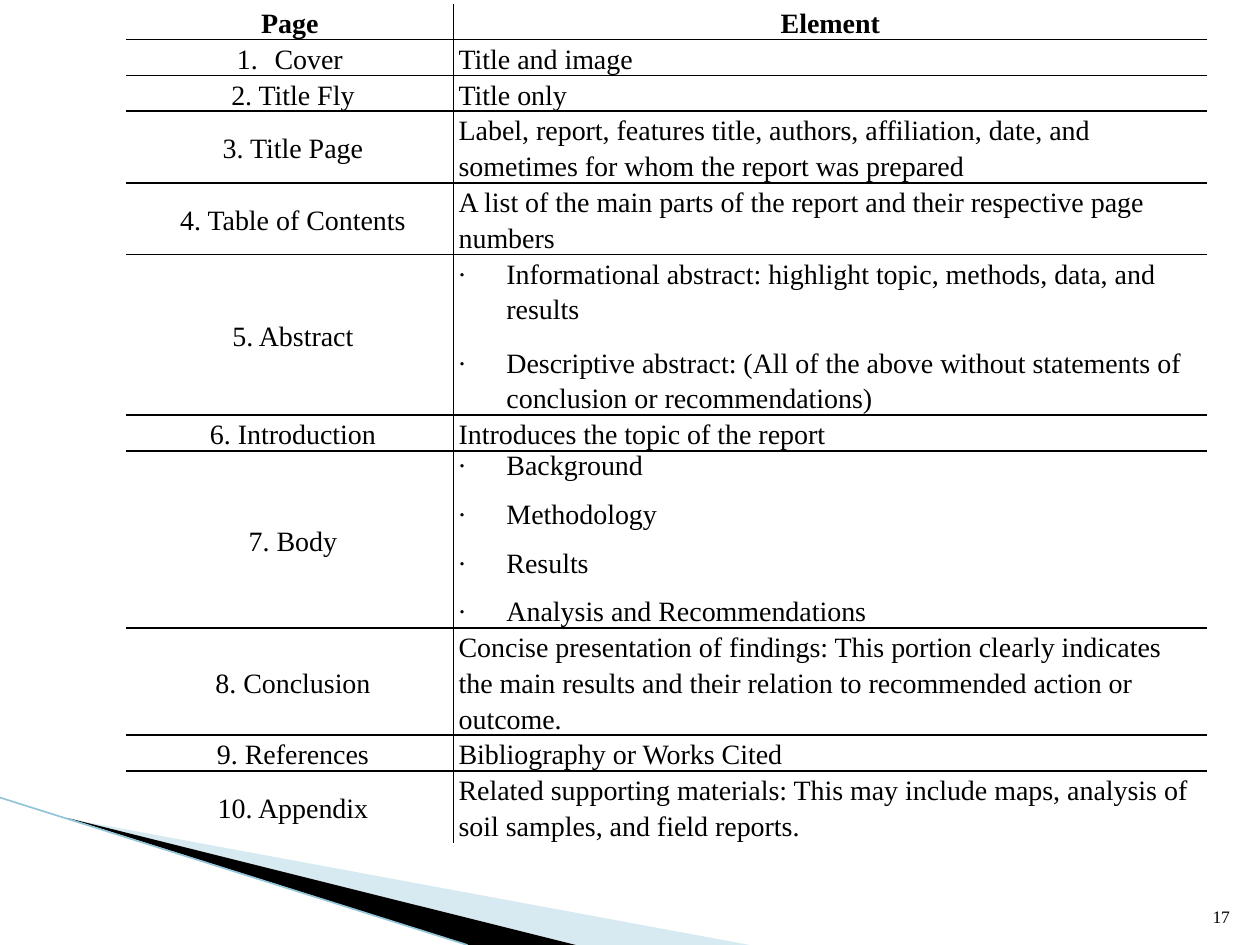
from dataclasses import dataclass

from lxml.etree import SubElement
from pptx import Presentation
from pptx.dml.color import RGBColor
from pptx.enum.text import MSO_ANCHOR, PP_ALIGN
from pptx.oxml import parse_xml
from pptx.oxml.ns import nsdecls, qn
from pptx.util import Inches, Pt


@dataclass(frozen=True)
class Theme:
    font: str = "Times New Roman"
    ink: str = "000000"
    wedge: str = "9CCADC"
    edge: str = "93C5D8"
    body_size: int = 16
    number_size: int = 10
    border_width: float = 1
    edge_width: float = 0.95


HEADER = ("Page", "Element")
# Page name, row height, element paragraphs, whether the paragraphs are bulleted
ROWS = [
    ("Cover", 0.12, ["Title and image"], False),
    ("2. Title Fly", 0.12, ["Title only"], False),
    ("3. Title Page", 0.47, ["Label, report, features title, authors, affiliation, date, and "
                             "sometimes for whom the report was prepared"], False),
    ("4. Table of Contents", 0.35, ["A list of the main parts of the report and their "
                                    "respective page numbers"], False),
    ("5. Abstract", 1.13, [
        "Informational abstract: highlight topic, methods, data, and results",
        "Descriptive abstract: (All of the above without statements of conclusion or "
        "recommendations)"], True),
    ("6. Introduction", 0.24, ["Introduces the topic of the report"], False),
    ("7. Body", 1.11, ["Background", "Methodology", "Results",
                       "Analysis and Recommendations"], True),
    ("8. Conclusion", 0.71, ["Concise presentation of findings: This portion clearly indicates "
                             "the main results and their relation to recommended action or "
                             "outcome."], False),
    ("9. References", 0.12, ["Bibliography or Works Cited"], False),
    ("10. Appendix", 0.47, ["Related supporting materials: This may include maps, analysis of "
                            "soil samples, and field reports."], False),
]
HEADER_HEIGHT = 0.12
COLUMN_WIDTHS = (2.6, 5.98)
SINGLE_SPACED = "7. Body"


def write_text(paragraph, text, theme, size=None, bold=False, align=PP_ALIGN.LEFT,
               line_spacing=None, space_before=0, indent=None, bullet=None):
    """Fill a paragraph; indent is (left, first line) in inches, bullet is bullet XML."""
    paragraph.alignment = align
    paragraph.space_before = Pt(space_before)
    if line_spacing:
        paragraph.line_spacing = line_spacing
    properties = paragraph._p.get_or_add_pPr()
    if indent:
        properties.set("marL", str(Inches(indent[0])))
        properties.set("indent", str(Inches(indent[1])))
    if bullet:
        color = SubElement(properties, qn("a:buClr"))
        SubElement(color, qn("a:srgbClr"), val=theme.ink)
        SubElement(properties, qn("a:buFont"), typeface=theme.font)
        properties.append(parse_xml(bullet))
    run = paragraph.add_run()
    run.text = text
    run.font.name = theme.font
    run.font.size = Pt(size or theme.body_size)
    run.font.bold = bold
    run.font.color.rgb = RGBColor.from_string(theme.ink)


class SlideBuilder:
    NUMBER = f'<a:buAutoNum {nsdecls("a")} type="arabicPeriod"/>'
    DOT = f'<a:buChar {nsdecls("a")} char="∙"/>'

    def __init__(self, slide, theme):
        self.slide = slide
        self.theme = theme

    def polygon(self, points, color, opacity=100):
        corners = [(Inches(x), Inches(y)) for x, y in points]
        builder = self.slide.shapes.build_freeform(*corners[0])
        builder.add_line_segments(corners[1:], close=True)
        shape = builder.convert_to_shape()
        shape.shadow.inherit = False
        shape.line.fill.background()
        shape.fill.solid()
        shape.fill.fore_color.rgb = RGBColor.from_string(color)
        if opacity < 100:
            color_element = shape._element.spPr.find(".//" + qn("a:srgbClr"))
            SubElement(color_element, qn("a:alpha"), val=str(opacity * 1000))

    def line(self, start, end, color, width):
        connector = self.slide.shapes.add_connector(
            1, *(Inches(value) for value in (*start, *end)))
        connector.line.color.rgb = RGBColor.from_string(color)
        connector.line.width = Pt(width)
        SubElement(connector._element.spPr, qn("a:effectLst"))

    def text_box(self, text, left, top, width, height, anchor=MSO_ANCHOR.TOP, **text_format):
        box = self.slide.shapes.add_textbox(*map(Inches, (left, top, width, height)))
        frame = box.text_frame
        frame.word_wrap = True
        frame.vertical_anchor = anchor
        write_text(frame.paragraphs[0], text, self.theme, **text_format)

    def borders(self, cell, visible):
        """Draw the sides named in visible (out of L, R, T, B) and clear the others."""
        properties = cell._tc.get_or_add_tcPr()
        for position, side in enumerate("LRTB"):
            fill = (f'<a:solidFill><a:srgbClr val="{self.theme.ink}"/></a:solidFill>'
                    if side in visible else "<a:noFill/>")
            properties.insert(position, parse_xml(
                f'<a:ln{side} {nsdecls("a")} w="{Pt(self.theme.border_width)}">{fill}</a:ln{side}>'))

    def cell(self, cell, texts, sides, anchor=MSO_ANCHOR.MIDDLE, **text_format):
        cell.margin_left = cell.margin_right = Inches(0.04)
        cell.margin_top = cell.margin_bottom = 0
        cell.vertical_anchor = anchor
        cell.fill.background()
        self.borders(cell, sides)
        frame = cell.text_frame
        for index, text in enumerate(texts):
            paragraph = frame.add_paragraph() if index else frame.paragraphs[0]
            write_text(paragraph, text, self.theme, space_before=10 if index else 0,
                       **text_format)

    def report_table(self, left, top):
        heights = [HEADER_HEIGHT] + [row[1] for row in ROWS]
        frame = self.slide.shapes.add_table(
            len(heights), len(COLUMN_WIDTHS), Inches(left), Inches(top),
            Inches(sum(COLUMN_WIDTHS)), Inches(sum(heights)))
        table = frame.table
        table.first_row = table.horz_banding = False
        for column, width in zip(table.columns, COLUMN_WIDTHS):
            column.width = Inches(width)
        for row, height in zip(table.rows, heights):
            row.height = Inches(height)

        for column, (text, sides) in enumerate(zip(HEADER, ("RB", "LB"))):
            self.cell(table.cell(0, column), [text], sides, anchor=MSO_ANCHOR.TOP,
                      bold=True, align=PP_ALIGN.CENTER, line_spacing=1.15)
        for index, (page, _, elements, bulleted) in enumerate(ROWS, start=1):
            sides = "T" if index == len(ROWS) else "TB"
            numbered = index == 1
            self.cell(table.cell(index, 0), [page], "R" + sides, align=PP_ALIGN.CENTER,
                      line_spacing=1.15, indent=(0.3, -0.3) if numbered else (0.21, -0.16),
                      bullet=self.NUMBER if numbered else None)
            self.cell(table.cell(index, 1), elements, "L" + sides,
                      line_spacing=None if page == SINGLE_SPACED else 1.15,
                      indent=(0.38, -0.38) if bulleted else None,
                      bullet=self.DOT if bulleted else None)


def main():
    presentation = Presentation()
    presentation.slide_width = Inches(10)
    presentation.slide_height = Inches(7.5)
    theme = Theme()
    blank_layout = presentation.slide_layouts[6]
    builder = SlideBuilder(presentation.slides.add_slide(blank_layout), theme)

    builder.polygon([(0.55, 6.5), (5.95, 7.5), (4.56, 7.5)], theme.wedge, opacity=40)
    builder.polygon([(0.53, 6.49), (4.57, 7.5), (3.72, 7.5)], theme.ink)
    builder.line((0, 6.33), (3.71, 7.5), theme.edge, theme.edge_width)
    builder.report_table(1, 0.03)
    builder.text_box("17", 9.46, 7.01, 0.4, 0.4, anchor=MSO_ANCHOR.BOTTOM,
                     size=theme.number_size, align=PP_ALIGN.RIGHT)
    presentation.save("out.pptx")


if __name__ == "__main__":
    main()
